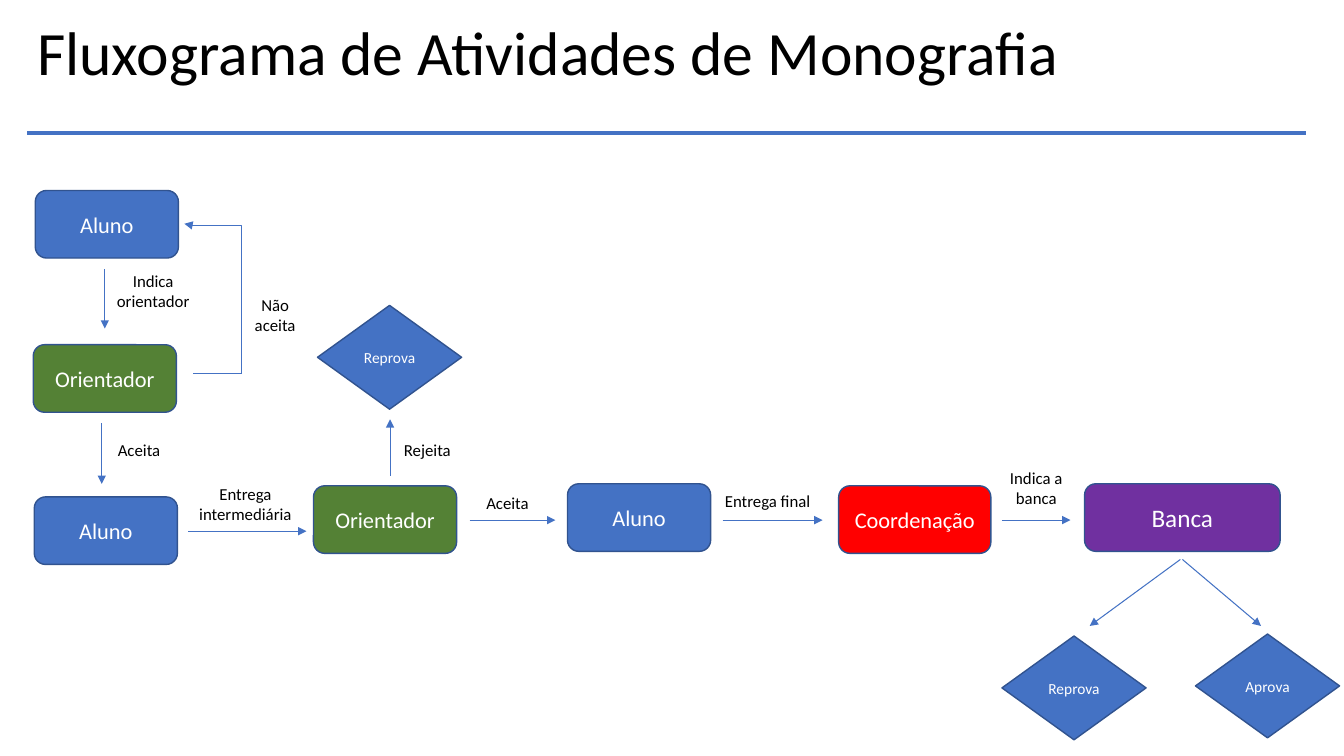
import pptx
import pptx.util
import pptx.dml.color
import pptx.enum.shapes
import pptx.enum.text
import pptx.oxml.ns
import lxml.etree

SHAPES = pptx.enum.shapes.MSO_SHAPE
CONNECTORS = pptx.enum.shapes.MSO_CONNECTOR
ALIGN = pptx.enum.text.PP_ALIGN
ANCHOR = pptx.enum.text.MSO_ANCHOR
BLUE, GREEN, RED, PURPLE = "4472C4", "548135", "FF0000", "7030A0"
EDGE, WHITE, BLACK = "31538F", "FFFFFF", "000000"

# Grid: square cells of a tenth of an inch
COLUMNS, ROWS = 133.33, 75
STEP_WIDTH, STEP_HEIGHT = 14.2, 6.7
VERDICT_WIDTH, VERDICT_HEIGHT = 14.3, 10.3
FLOW_ROW = 51.6  # arrows of the main row


def cells(count):
    return pptx.util.Inches(count / 10)


def color(hex_string):
    return pptx.dml.color.RGBColor.from_string(hex_string)


def add_child(parent, tag, **attributes):
    child = lxml.etree.SubElement(parent, pptx.oxml.ns.qn(tag))
    for key, value in attributes.items():
        child.set(key, value)
    return child


def write(frame, lines, size, ink, align=ALIGN.CENTER):
    frame.word_wrap = True
    for index, line in enumerate(lines):
        paragraph = frame.paragraphs[0] if index == 0 else frame.add_paragraph()
        paragraph.alignment = align
        run = paragraph.add_run()
        run.text = line
        run.font.name = "Calibri"
        run.font.size = pptx.util.Pt(size)
        run.font.color.rgb = color(ink)


def node(slide, kind, text, box, fill, size):
    shape = slide.shapes.add_shape(kind, *map(cells, box))
    shape.shadow.inherit = False
    shape.fill.solid()
    shape.fill.fore_color.rgb = color(fill)
    shape.line.color.rgb = color(EDGE)
    shape.line.width = pptx.util.Pt(1)
    shape.text_frame.vertical_anchor = ANCHOR.MIDDLE
    write(shape.text_frame, [text], size, WHITE)


def step(slide, text, left, top, fill, width=STEP_WIDTH, size=16):
    node(slide, SHAPES.FLOWCHART_ALTERNATE_PROCESS, text,
         (left, top, width, STEP_HEIGHT), fill, size)


def verdict(slide, text, left, top):
    node(slide, SHAPES.DIAMOND, text,
         (left, top, VERDICT_WIDTH, VERDICT_HEIGHT), BLUE, 11)


def label(slide, lines, left, top, width):
    height = 1 + 2 * len(lines)
    box = slide.shapes.add_textbox(*map(cells, (left, top, width, height)))
    box.text_frame.auto_size = pptx.enum.text.MSO_AUTO_SIZE.SHAPE_TO_FIT_TEXT
    write(box.text_frame, lines, 12, BLACK)


def link(slide, start, end, arrow=True, width=0.75, kind=CONNECTORS.STRAIGHT):
    line = slide.shapes.add_connector(kind, *map(cells, (*start, *end)))
    line.line.color.rgb = color(BLUE)
    line.line.width = pptx.util.Pt(width)
    if arrow:
        add_child(line.line._get_or_add_ln(), "a:tailEnd", type="triangle")
    add_child(line._element.spPr, "a:effectLst")
    return line


def return_link(slide):
    # Laid out flat, then turned a quarter so that it rises from Orientador to Aluno
    loop = link(slide, (28.6, 26.8), (13.7, 32.5), kind=CONNECTORS.ELBOW)
    properties = loop._element.spPr
    properties.find(pptx.oxml.ns.qn("a:xfrm")).set("rot", "5400000")
    geometry = properties.find(pptx.oxml.ns.qn("a:prstGeom"))
    guides = geometry.find(pptx.oxml.ns.qn("a:avLst"))
    if guides is None:
        guides = add_child(geometry, "a:avLst")
    add_child(guides, "a:gd", name="adj1", fmla="val 99100")
    link(slide, (24, 37.1), (19.1, 37.1), arrow=False)


def heading(slide, text):
    box = slide.shapes.add_textbox(*map(cells, (2.7, 1.7, 125.7, 14.5)))
    write(box.text_frame, [text], 44, BLACK, ALIGN.LEFT)
    box.text_frame.paragraphs[0].line_spacing = 0.9
    link(slide, (2.7, 13.2), (129.6, 13.2), arrow=False, width=2.25)


def main():
    deck = pptx.Presentation()
    deck.slide_width, deck.slide_height = cells(COLUMNS), cells(ROWS)
    slide = deck.slides.add_slide(deck.slide_layouts[6])

    heading(slide, "Fluxograma de Atividades de Monografia")

    # Choice of the adviser, down the left side
    step(slide, "Aluno", 3.5, 18.9, BLUE)
    step(slide, "Orientador", 3.3, 34.2, GREEN)
    step(slide, "Aluno", 3.4, 49.3, BLUE)
    link(slide, (10.4, 26.7), (10.4, 32.6))
    link(slide, (10.1, 42), (10.1, 48))
    return_link(slide)

    # Main row
    step(slide, "Orientador", 31.1, 48.2, GREEN)
    step(slide, "Aluno", 56.3, 48, BLUE)
    step(slide, "Coordenação", 83.2, 48.2, RED, width=15.1)
    step(slide, "Banca", 107.6, 48, PURPLE, width=19.4, size=18)
    link(slide, (18.7, 52.7), (30.4, 52.7))
    for start, end in ((46.6, 55.1), (71.7, 81.6), (99.4, 106.2)):
        link(slide, (start, FLOW_ROW), (end, FLOW_ROW))

    # Verdicts
    verdict(slide, "Reprova", 31.5, 30.3)
    verdict(slide, "Reprova", 99.4, 63.1)
    verdict(slide, "Aprova", 118.6, 62.9)
    link(slide, (38.7, 47.2), (38.7, 41.6))
    link(slide, (117.1, 55.5), (108.1, 62.1))
    link(slide, (117.3, 55.5), (125.1, 62.1))

    # Arrow labels: lines, left, top, width
    for lines, left, top, width in (
        (["Indica orientador"], 9.2, 26.4, 12),
        (["Não", "aceita"], 21.3, 28.7, 12),
        (["Aceita"], 7.8, 43.1, 12),
        (["Entrega", "intermediária"], 15.2, 47.5, 18.3),
        (["Rejeita"], 36.4, 43.1, 12),
        (["Aceita"], 41.2, 48.4, 18.3),
        (["Entrega final"], 63.9, 48.2, 24.5),
        (["Indica a", "banca"], 90.9, 45.9, 23.8),
    ):
        label(slide, lines, left, top, width)

    deck.save("out.pptx")


if __name__ == "__main__":
    main()
